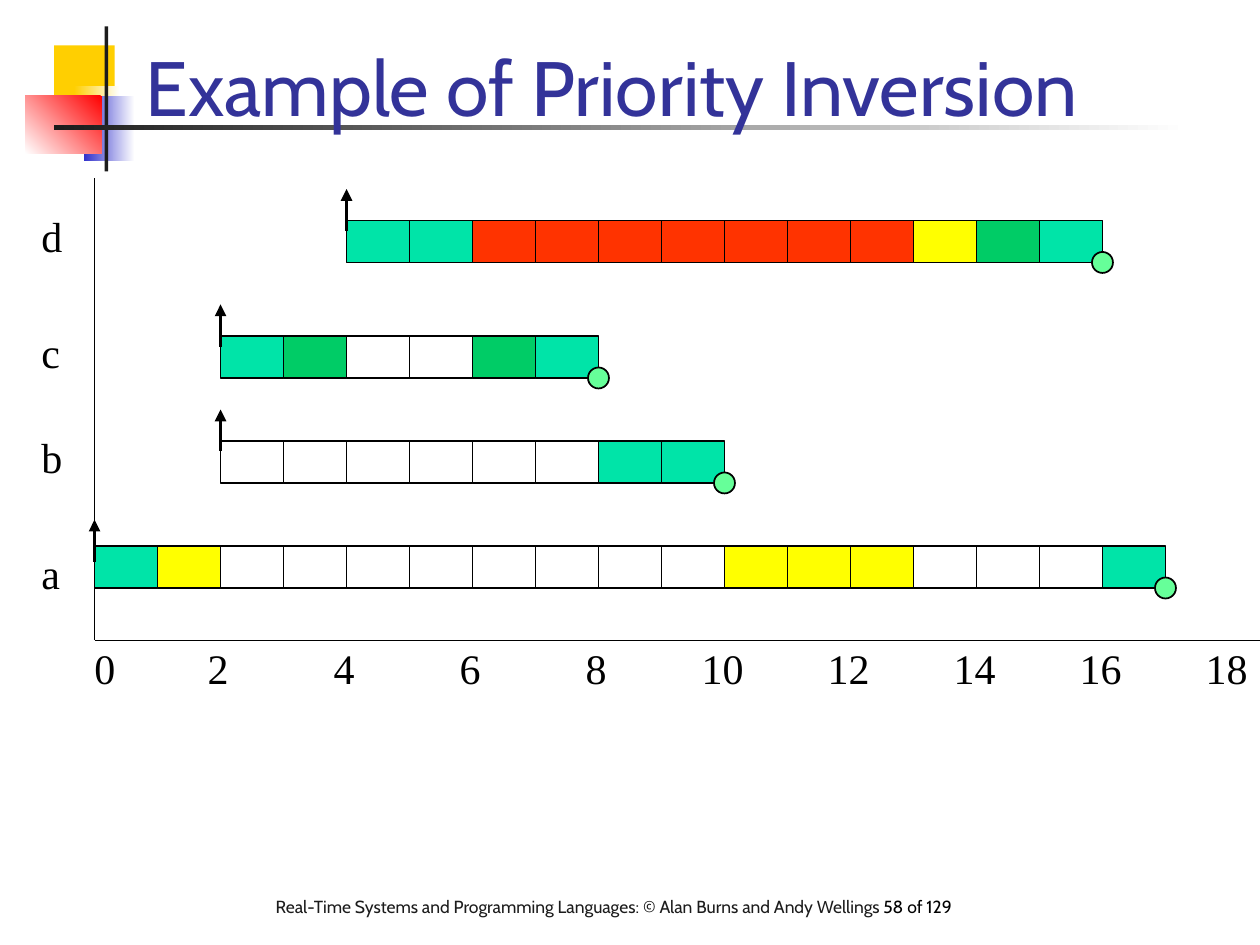
"""Builds a timeline slide that shows priority inversion between four tasks."""
from collections import namedtuple

from lxml.etree import SubElement
from pptx import Presentation
from pptx.dml.color import RGBColor
from pptx.enum.shapes import MSO_CONNECTOR, MSO_SHAPE
from pptx.enum.text import MSO_ANCHOR
from pptx.oxml.ns import qn
from pptx.util import Inches, Pt

BLACK = RGBColor(0x00, 0x00, 0x00)
WHITE = RGBColor(0xFF, 0xFF, 0xFF)
INK = RGBColor(0x1C, 0x1C, 0x1C)
GOLD = RGBColor(0xFF, 0xCF, 0x01)
BLUE = RGBColor(0x33, 0x33, 0xCC)
RED = RGBColor(0xFF, 0x00, 0x00)
INDIGO = RGBColor(0x33, 0x33, 0x99)
MINT = RGBColor(0x66, 0xFF, 0x99)
TEAL = RGBColor(0x00, 0xE4, 0xA8)
GREEN = RGBColor(0x00, 0xCC, 0x66)
YELLOW = RGBColor(0xFF, 0xFF, 0x00)
ORANGE = RGBColor(0xFF, 0x33, 0x00)

STATES = {"T": TEAL, "G": GREEN, "Y": YELLOW, "R": ORANGE, "-": None}
SANS, SERIF = "Cabin", "Times New Roman"

COL, ROW = 0.5, 1 / 12
ORIGIN, AXIS_TOP, AXIS_ROW = 0.75, 17, 61
CELL_ROWS, DOT_ROWS = 4, 2

Task = namedtuple("Task", "name row release states arrow_rise label_rise")
TASKS = [
    Task("a", 52, 0, "TY--------YYY---T", 2.5, 0.4),
    Task("b", 42, 2, "------TT", 3, 1.5),
    Task("c", 32, 2, "TG--GT", 3, 1.5),
    Task("d", 21, 4, "TTRRRRRRRYGT", 3, 1.5),
]


def time_x(time):
    """Return the horizontal place of a time in inches."""
    return ORIGIN + time * COL


def add_block(s, kind, box, fill, outline=None):
    """Add a preset shape with a plain, gradient or empty fill."""
    sp = s.shapes.add_shape(kind, *map(Inches, box))
    sp.shadow.inherit = False
    if fill is None:
        sp.fill.background()
    elif isinstance(fill, tuple) and not isinstance(fill, RGBColor):
        start, end, angle = fill
        sp.fill.gradient()
        sp.fill.gradient_angle = angle
        for stop, color in zip(sp.fill.gradient_stops, (start, end)):
            stop.color.rgb = color
    else:
        sp.fill.solid()
        sp.fill.fore_color.rgb = fill
    if outline is None:
        sp.line.fill.background()
    else:
        sp.line.color.rgb = outline
        sp.line.width = Pt(1)


def add_line(s, start, end, width=1, arrow=False):
    """Add a black line, with an arrowhead at its start if asked."""
    line = s.shapes.add_connector(MSO_CONNECTOR.STRAIGHT, *map(Inches, start + end))
    line.line.color.rgb = BLACK
    line.line.width = Pt(width)
    if arrow:
        SubElement(line.line._get_or_add_ln(), qn("a:headEnd"), type="triangle")
    SubElement(line._element.spPr, qn("a:effectLst"))


def add_text(s, box, runs, size, font, anchor=MSO_ANCHOR.TOP, wrap=True):
    """Add a one-line text box from pairs of text and colour."""
    tf = s.shapes.add_textbox(*map(Inches, box)).text_frame
    tf.word_wrap = wrap
    tf.vertical_anchor = anchor
    p = tf.paragraphs[0]
    for text, color in runs:
        r = p.add_run()
        r.text = text
        r.font.size = Pt(size)
        r.font.name = font
        r.font.color.rgb = color


def add_label(s, left, top, text):
    """Add a label of the chart, as wide as its text."""
    width = 0.36 if len(text) == 1 else 0.53
    add_text(s, (left, top, width, 0.5), [(text, BLACK)], 24, SERIF, wrap=False)


def add_decoration(s):
    """Add the coloured squares and rules beside the title."""
    for box, fill in [
        ((0.43, 0.36, 0.48, 0.52), GOLD),
        ((0.59, 0.68, 0.36, 0.52), (WHITE, GOLD, 180)),
        ((0.67, 0.76, 0.4, 0.52), (WHITE, BLUE, 180)),
        ((0.2, 0.76, 0.61, 0.46), (RED, WHITE, 225)),
        ((0.83, 0.21, 0.03, 1.15), INK),
        ((0.43, 0.99, 9, 0.04), (WHITE, INK, 180)),
    ]:
        add_block(s, MSO_SHAPE.RECTANGLE, box, fill)


def add_axes(s):
    """Add both axes and the time labels."""
    bottom = AXIS_ROW * ROW
    add_line(s, (ORIGIN, AXIS_TOP * ROW), (ORIGIN, bottom))
    add_line(s, (ORIGIN, bottom), (10, bottom))
    for time in range(0, 20, 2):
        shift = -0.1 if time == 0 else -0.2 if time < 10 else -0.28
        add_label(s, time_x(time) + shift, 5.05, str(time))


def add_task(s, task):
    """Add the cells, label, release arrow and completion dot of a task."""
    top = task.row * ROW
    for time, state in enumerate(task.states, task.release):
        box = time_x(time), top, COL, CELL_ROWS * ROW
        add_block(s, MSO_SHAPE.RECTANGLE, box, STATES[state], BLACK)
    add_label(s, 0.23, top - task.label_rise * ROW, task.name)

    start_x = time_x(task.release)
    arrow_top = top - task.arrow_rise * ROW
    add_line(s, (start_x, arrow_top), (start_x, arrow_top + CELL_ROWS * ROW), 2.25, True)

    dot = DOT_ROWS * ROW
    end_x = time_x(task.release + len(task.states))
    box = end_x - dot / 2, top + CELL_ROWS * ROW - dot / 2, dot, dot
    add_block(s, MSO_SHAPE.OVAL, box, MINT, BLACK)


def main():
    """Build the slide and save it."""
    prs = Presentation()
    prs.slide_width, prs.slide_height = Inches(10), Inches(7.5)
    s = prs.slides.add_slide(prs.slide_layouts[6])
    add_decoration(s)
    footer = "Real-Time Systems and Programming Languages: © Alan Burns and Andy Wellings "
    add_text(s, (2.09, 7.06, 6.06, 0.46), [(footer, INK), ("58 of 129", BLACK)], 10, SANS)
    title = [("Example of Priority Inversion", INDIGO)]
    add_text(s, (1.06, 0.13, 8.52, 0.97), title, 44, SANS, MSO_ANCHOR.BOTTOM)
    add_axes(s)
    for task in TASKS:
        add_task(s, task)
    prs.save("out.pptx")


if __name__ == "__main__":
    main()
